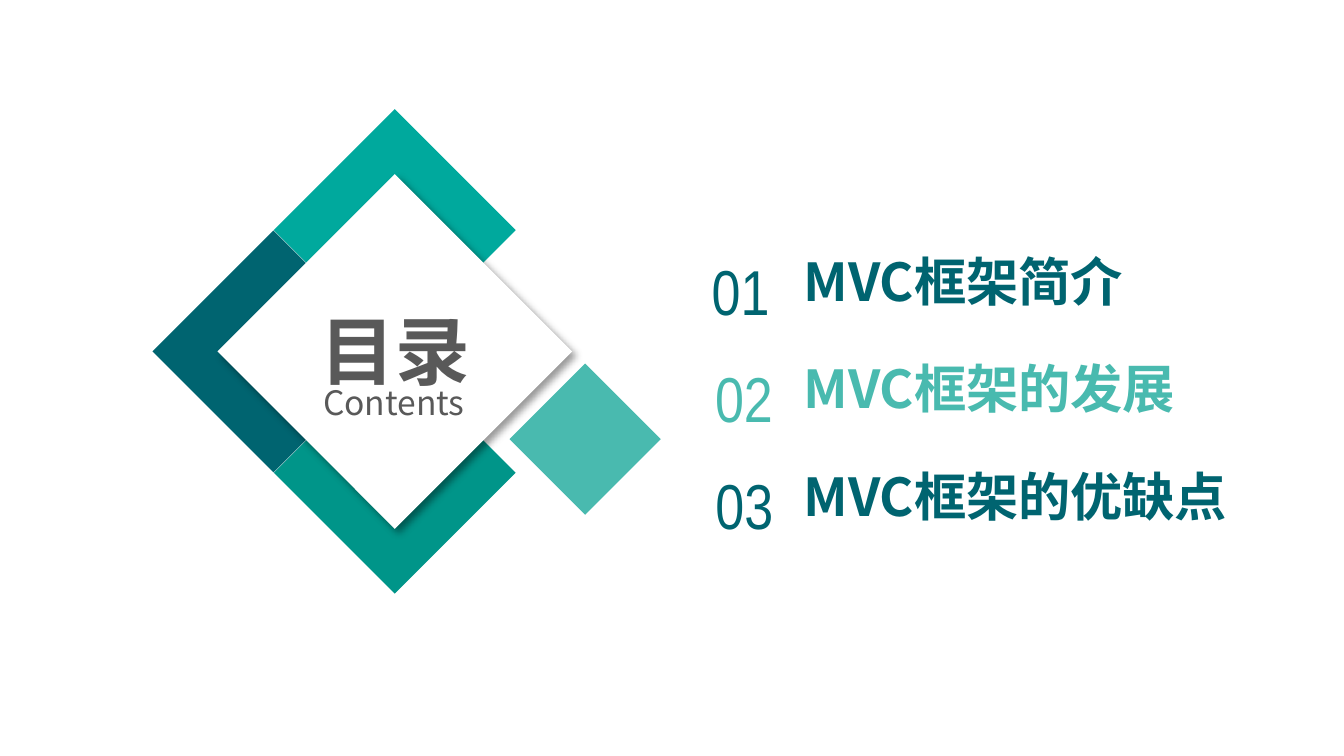
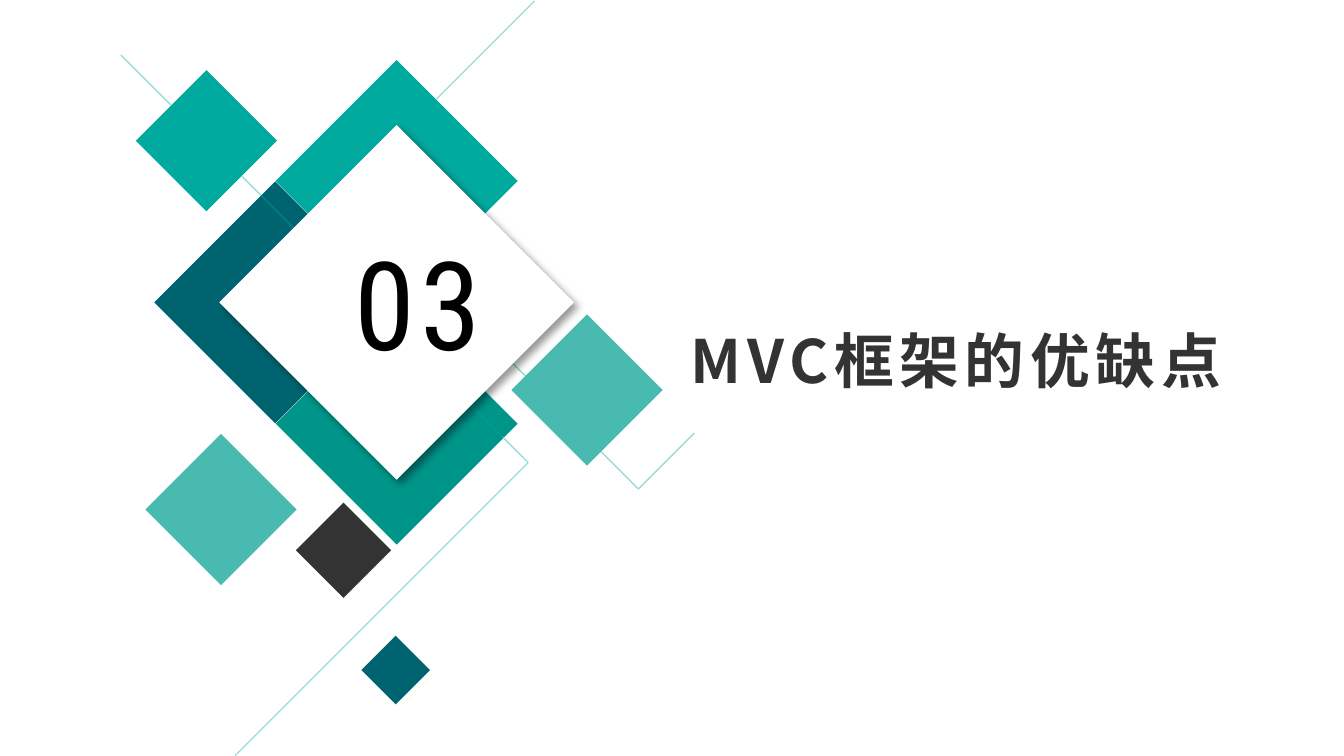
"""Build a contents slide and a section slide around a shared diamond emblem."""
from lxml import etree
from pptx import Presentation
from pptx.dml.color import RGBColor
from pptx.enum.shapes import MSO_CONNECTOR, MSO_SHAPE
from pptx.enum.text import MSO_ANCHOR, MSO_AUTO_SIZE, PP_ALIGN
from pptx.oxml.ns import qn
from pptx.util import Pt

DIAMOND, STRAIGHT = MSO_SHAPE.DIAMOND, MSO_CONNECTOR.STRAIGHT
TOP, MIDDLE, BOTTOM = MSO_ANCHOR.TOP, MSO_ANCHOR.MIDDLE, MSO_ANCHOR.BOTTOM
LEFT, CENTER = PP_ALIGN.LEFT, PP_ALIGN.CENTER
NO_FIT, GROW = MSO_AUTO_SIZE.NONE, MSO_AUTO_SIZE.SHAPE_TO_FIT_TEXT
SANS = "Noto Sans CJK SC"
COLORS = {
    "deep": "006470", "teal": "00A99D", "green": "009589", "mint": "49BAAF",
    "pale": "99DDD8", "sea": "008082", "jade": "009D91", "white": "FFFFFF",
    "ink": "333333", "gray": "595959", "black": "000000",
}
EMBLEM_ARMS = [(-65, 0, "deep"), (0, -65, "teal"), (0, 65, "green")]


def add_diamond(slide, x, y, size, color):
    diamond = slide.shapes.add_shape(
        DIAMOND, Pt(x - size / 2), Pt(y - size / 2), Pt(size), Pt(size))
    diamond.shadow.inherit = False
    diamond.fill.solid()
    diamond.fill.fore_color.rgb = RGBColor.from_string(COLORS[color])
    diamond.line.fill.background()
    return diamond


def set_text(shape, box, frame_format, lines, font_format, align=LEFT, spacing=0, pitch=None):
    for side, length in zip(("left", "top", "width", "height"), box):
        setattr(shape, side, Pt(length))
    frame = shape.text_frame
    for name, value in frame_format.items():
        setattr(frame, name, value)
    for index, (text, color) in enumerate(lines):
        paragraph = frame.add_paragraph() if index else frame.paragraphs[0]
        properties = paragraph._p.get_or_add_pPr()
        properties.set("marL", "0")
        properties.set("indent", "0")
        etree.SubElement(properties, qn("a:buNone"))
        paragraph.alignment = align
        paragraph.space_before = Pt(0)
        if pitch:
            paragraph.line_spacing = Pt(pitch)
        run = paragraph.add_run()
        run.text = text
        for name, value in font_format.items():
            setattr(run.font, name, value)
        run.font.color.rgb = RGBColor.from_string(COLORS[color])
        run_properties = run._r.get_or_add_rPr()
        etree.SubElement(run_properties, qn("a:ea"), typeface=font_format["name"])
        if spacing:
            run_properties.set("spc", str(spacing * 100))


presentation = Presentation()
presentation.slide_width, presentation.slide_height = Pt(720), Pt(405)
contents = presentation.slides.add_slide(presentation.slide_layouts[1])
section = presentation.slides.add_slide(presentation.slide_layouts[5])

section_back = [(110.6, 75.4, 75.6, "teal"), (184, 294.8, 51, "ink")]
section_front = [(118.4, 273, 81, "mint"), (212, 359, 36.8, "deep")]
section_lines = [
    ("pale", [(286.4, 0.5), (233.6, 53.3)]),
    ("pale", [(227, 147), (342, 262), (372, 232)]),
    ("pale", [(64.8, 29.5), (91.8, 56.5)]),
    ("pale", [(129.6, 94.5), (140, 104.8)]),
    ("sea", [(140, 104.8), (204.8, 169.6)]),
    ("jade", [(204.8, 169.6), (269.6, 234.4)]),
    ("pale", [(269.6, 234.4), (283, 247.8), (126, 404.8)]),
]
for slide, center_x, center_y, back, lines, front in (
        (contents, 211.5, 188.3, [], [], []),
        (section, 212.5, 162, section_back, section_lines, section_front)):
    for dx, dy, color in EMBLEM_ARMS:
        add_diamond(slide, center_x + dx, center_y + dy, 129.6, color)
    for accent in back:
        add_diamond(slide, *accent)
    for color, points in lines:
        for start, end in zip(points, points[1:]):
            ray = slide.shapes.add_connector(STRAIGHT, *map(Pt, start + end))
            ray.line.width = Pt(0.75)
            ray.line.color.rgb = RGBColor.from_string(COLORS[color])
            etree.SubElement(ray.element.spPr, qn("a:effectLst"))
    heart = add_diamond(slide, center_x, center_y, 190, "white")
    shadow = etree.SubElement(
        heart.element.spPr.find(qn("a:effectLst")), qn("a:outerShdw"),
        blurRad=str(Pt(4)), dist=str(Pt(3)), dir="2700000", algn="tl", rotWithShape="0")
    shade = etree.SubElement(shadow, qn("a:srgbClr"), val=COLORS["black"])
    etree.SubElement(shade, qn("a:alpha"), val="40000")
    add_diamond(slide, center_x + 102, center_y + 47, 81, "mint")
    for accent in front:
        add_diamond(slide, *accent)

plain = {"word_wrap": True, "vertical_anchor": TOP, "auto_size": NO_FIT}
flush = {"margin_left": 0, "margin_top": 0, "margin_right": 0, "margin_bottom": 0}
unwrapped = {"word_wrap": False, "auto_size": NO_FIT}

chapters = [("MVC框架简介", "deep"), ("MVC框架的发展", "mint"), ("MVC框架的优缺点", "deep")]
set_text(contents.placeholders[1], (402.5, 109.4, 266, 172.8),
         {**unwrapped, **flush, "margin_left": Pt(28), "vertical_anchor": BOTTOM},
         chapters, {"name": SANS, "size": Pt(28), "bold": True}, pitch=57.6)
for index, (width, (_, color)) in enumerate(zip((39, 42.5, 43), chapters)):
    number = contents.shapes.add_textbox(0, 0, 0, 0)
    set_text(number, (377.3, 134.6 + 57.3 * index, width, 41.8),
             {**unwrapped, "vertical_anchor": MIDDLE}, [(f"{index + 1:02}", color)],
             {"name": "Arial Narrow", "size": Pt(34)}, CENTER)
subtitle = contents.shapes.add_textbox(0, 0, 0, 0)
set_text(subtitle, (157.7, 195.8, 106.6, 30.2),
         {**plain, **flush, "vertical_anchor": BOTTOM}, [("Contents", "gray")],
         {"name": SANS, "size": Pt(18)}, CENTER)
contents_title = contents.shapes.title
set_text(contents_title, (158.4, 159.8, 106.6, 54.7), plain, [("目录", "gray")],
         {"name": SANS, "size": Pt(40), "bold": True}, CENTER)
contents.shapes.element.append(contents_title.element)

set_text(section.shapes.title, (362.9, 169.9, 331.2, 46.1), {**plain, "auto_size": GROW},
         [("MVC框架的优缺点", "ink")], {"name": SANS, "size": Pt(32), "bold": True}, spacing=3)
section_number = section.shapes.add_textbox(0, 0, 0, 0)
set_text(section_number, (182.9, 118, 85, 87.1), {**plain, "auto_size": GROW},
         [("03", "black")], {"name": "Roboto Condensed", "size": Pt(66)}, spacing=3)

presentation.save("out.pptx")
